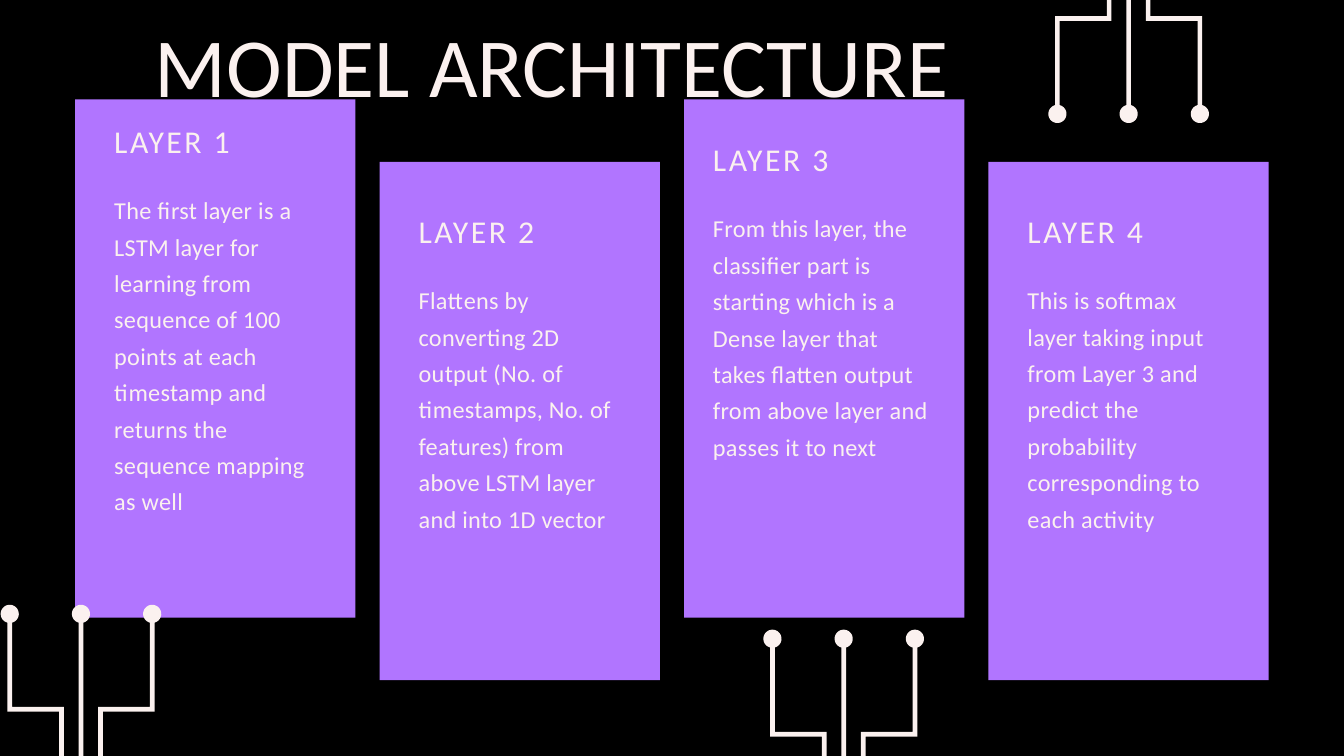
import math

import pptx
import pptx.dml.color
import pptx.enum.shapes
import pptx.enum.text
import pptx.util

PX = 9144  # EMU per px, 100 px to the inch
COLORS = {"background": "000000", "card": "B175FF", "light": "FBF1EF"}
FONT = "Calibri"

CARD_LEFT, CARD_STEP = 112, 453
CARD_WIDTH, CARD_HEIGHT = 417, 771
BODY_OFFSET = 104

# card top, text inset, heading top, text width, body height, heading, body
CARDS = [
    (148, 58, 176, 302, 530, "LAYER 1",
     "The first layer is a LSTM layer for learning from sequence of 100 points "
     "at each timestamp and returns the sequence mapping as well"),
    (241, 58, 310, 302, 423, "LAYER 2",
     "Flattens by converting 2D output (No. of timestamps, No. of features) "
     "from above LSTM layer and into 1D vector"),
    (148, 43, 203, 330, 476, "LAYER 3",
     "From this layer, the classifier part is starting which is a Dense layer "
     "that takes flatten output from above layer and passes it to next"),
    (241, 58, 310, 302, 476, "LAYER 4",
     "This is softmax layer taking input from Layer 3 and predict the "
     "probability corresponding to each activity"),
]

# left, top, rotation
CIRCUITS = [(1560, -128, 180), (1, 900, 0), (1136, 937, 0)]
CIRCUIT_WIDTH, CIRCUIT_HEIGHT = 239, 311
PIN_RADIUS, HALF_TRACK = 13.5, 3.5


def pin(center_x):
    """Round pin head, open at the bottom where the track joins it."""
    gap = math.asin(HALF_TRACK / PIN_RADIUS)
    steps = 32
    points = []
    for step in range(steps + 1):
        angle = math.pi / 2 + gap + step * (2 * math.pi - 2 * gap) / steps
        points.append((center_x + PIN_RADIUS * math.cos(angle),
                       PIN_RADIUS + PIN_RADIUS * math.sin(angle)))
    return points


def circuit_outlines():
    middle = CIRCUIT_WIDTH / 2
    right = CIRCUIT_WIDTH - PIN_RADIUS
    straight = pin(middle) + [(middle + HALF_TRACK, CIRCUIT_HEIGHT),
                              (middle - HALF_TRACK, CIRCUIT_HEIGHT)]
    bent = pin(right) + [(right + HALF_TRACK, 159), (152, 159),
                         (152, CIRCUIT_HEIGHT), (145, CIRCUIT_HEIGHT),
                         (145, 152), (right - HALF_TRACK, 152)]
    mirrored = [(CIRCUIT_WIDTH - x, y) for x, y in bent]
    return [straight, bent, mirrored]


class SlideBuilder:
    def __init__(self, slide):
        self.slide = slide

    def color(self, name):
        return pptx.dml.color.RGBColor.from_string(COLORS[name])

    def background(self, color):
        fill = self.slide.background.fill
        fill.solid()
        fill.fore_color.rgb = self.color(color)

    def paint(self, shape, color):
        shape.shadow.inherit = False
        shape.fill.solid()
        shape.fill.fore_color.rgb = self.color(color)
        shape.line.fill.background()

    def rectangle(self, left, top, width, height, color):
        shape = self.slide.shapes.add_shape(
            pptx.enum.shapes.MSO_SHAPE.RECTANGLE,
            left * PX, top * PX, width * PX, height * PX)
        self.paint(shape, color)

    def text(self, left, top, width, height, text, size, line_spacing,
             tracking=0, align=pptx.enum.text.PP_ALIGN.LEFT):
        """Add a one-paragraph text box; tracking is in hundredths of a point."""
        box = self.slide.shapes.add_textbox(
            left * PX, top * PX, width * PX, height * PX)
        frame = box.text_frame
        frame.word_wrap = True
        frame.auto_size = pptx.enum.text.MSO_AUTO_SIZE.SHAPE_TO_FIT_TEXT
        frame.margin_left = frame.margin_right = 0
        frame.margin_top = frame.margin_bottom = 0
        paragraph = frame.paragraphs[0]
        paragraph.text = text
        paragraph.alignment = align
        paragraph.line_spacing = pptx.util.Pt(line_spacing)
        paragraph.font.name = FONT
        paragraph.font.size = pptx.util.Pt(size)
        paragraph.font.color.rgb = self.color("light")
        if tracking:
            paragraph.runs[0]._r.get_or_add_rPr().set("spc", str(tracking))

    def circuit(self, left, top, rotation):
        builder = None
        for outline in circuit_outlines():
            points = [(round((left + x) * PX), round((top + y) * PX))
                      for x, y in outline]
            if builder is None:
                builder = self.slide.shapes.build_freeform(*points[0])
            else:
                builder.move_to(*points[0])
            builder.add_line_segments(points[1:], close=True)
        shape = builder.convert_to_shape()
        shape.rotation = rotation
        self.paint(shape, "light")


def main():
    presentation = pptx.Presentation()
    presentation.slide_width = 2000 * PX
    presentation.slide_height = 1125 * PX
    slide = presentation.slides.add_slide(presentation.slide_layouts[6])
    builder = SlideBuilder(slide)
    builder.background("background")

    for index, card in enumerate(CARDS):
        top, inset, heading_top, width, body_height, heading, body = card
        left = CARD_LEFT + index * CARD_STEP
        builder.rectangle(left, top, CARD_WIDTH, CARD_HEIGHT, "card")
        builder.text(left + inset, heading_top, width, 60, heading,
                     34, 44.2, tracking=270)
        builder.text(left + inset, heading_top + BODY_OFFSET, width,
                     body_height, body, 26, 39, tracking=30)

    for left, top, rotation in CIRCUITS:
        builder.circuit(left, top, rotation)

    builder.text(207, -5, 1228, 168, "MODEL ARCHITECTURE", 90, 126,
                 align=pptx.enum.text.PP_ALIGN.CENTER)
    presentation.save("out.pptx")


if __name__ == "__main__":
    main()
